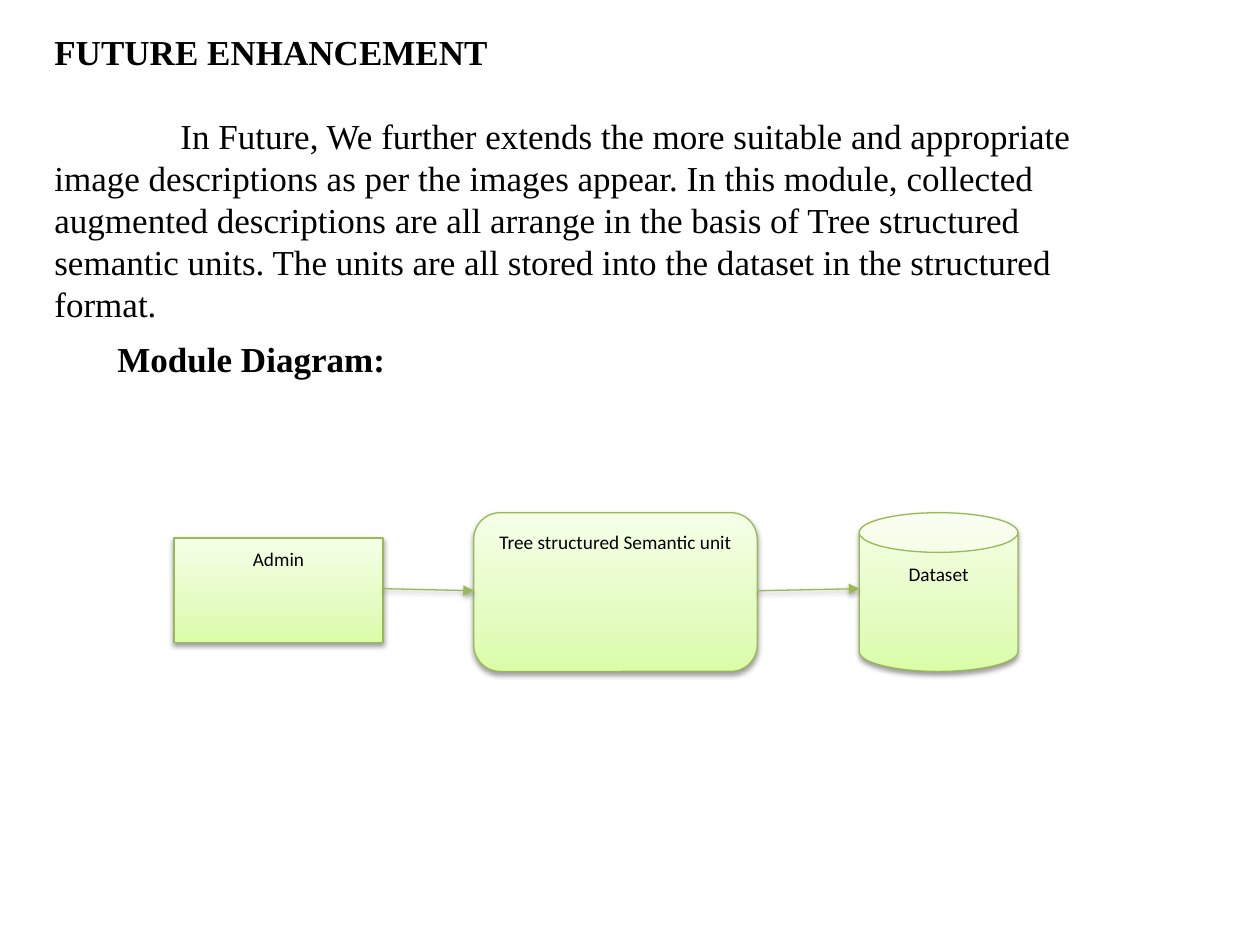
from dataclasses import dataclass

from lxml.etree import SubElement
from pptx import Presentation
from pptx.dml.color import RGBColor
from pptx.enum.shapes import MSO_CONNECTOR, MSO_SHAPE
from pptx.enum.text import MSO_ANCHOR, PP_ALIGN
from pptx.oxml.ns import qn
from pptx.shapes.group import GroupShape
from pptx.slide import Slide
from pptx.util import Pt


@dataclass(frozen=True)
class Theme:
    ink: str = "000000"
    outline: str = "98B955"
    gradient: tuple = ((0, "DAFDA7"), (35, "E4FCC2"), (100, "F5FFE7"))
    body_font: str = "Times New Roman"
    label_font: str = "Calibri"
    body_size: float = 20
    label_size: float = 11
    outline_width: float = 0.75


@dataclass(frozen=True)
class Passage:
    text: str
    bold: bool = False
    indent: float = 0
    space_after: float = 0


@dataclass(frozen=True)
class Node:
    label: str
    kind: MSO_SHAPE
    left: float
    top: float
    width: float
    height: float

    @property
    def right(self) -> float:
        return self.left + self.width


THEME = Theme()

# Wording
INTRODUCTION = [
    Passage("FUTURE ENHANCEMENT", bold=True, space_after=24),
    Passage(
        "In Future, We further extends the more suitable and appropriate "
        "image descriptions as per the images appear. In this module, collected "
        "augmented descriptions are all arrange in the basis of Tree structured "
        "semantic units. The units are all stored into the dataset in the "
        "structured format.",
        indent=72,
    ),
]
DIAGRAM_TITLE = [Passage("Module Diagram:", bold=True, indent=36)]

# Diagram, left to right
ADMIN = Node("Admin", MSO_SHAPE.RECTANGLE, 99.4, 307.4, 119.5, 59.8)
SEMANTIC_UNIT = Node("Tree structured Semantic unit", MSO_SHAPE.ROUNDED_RECTANGLE,
                     270.7, 293, 162, 90.7)
DATASET = Node("Dataset", MSO_SHAPE.CAN, 491, 293, 90.7, 90.7)
OUTER_ARROW_Y, INNER_ARROW_Y = 336.4, 337.6


def apply_format(target, values: dict) -> None:
    for name, value in values.items():
        setattr(target, name, value)


def format_font(font, face: str, size: float, bold: bool = False) -> None:
    apply_format(font, {"name": face, "size": Pt(size), "bold": bold})
    font.color.rgb = RGBColor.from_string(THEME.ink)


def draw_passages(slide: Slide, passages: list[Passage], left: float, top: float,
                  width: float, height: float, anchor: MSO_ANCHOR) -> None:
    frame = slide.shapes.add_textbox(Pt(left), Pt(top), Pt(width), Pt(height)).text_frame
    apply_format(frame, {"word_wrap": True, "vertical_anchor": anchor})
    for index, passage in enumerate(passages):
        paragraph = frame.add_paragraph() if index else frame.paragraphs[0]
        paragraph.space_after = Pt(passage.space_after)
        paragraph._p.get_or_add_pPr().set("indent", str(Pt(passage.indent)))
        run = paragraph.add_run()
        run.text = passage.text
        format_font(run.font, THEME.body_font, THEME.body_size, passage.bold)


def add_color(parent, color: str):
    return SubElement(parent, qn("a:srgbClr"), val=color)


def format_outline(line) -> None:
    line.color.rgb = RGBColor.from_string(THEME.outline)
    line.width = Pt(THEME.outline_width)


def add_shadow(properties) -> None:
    effects = properties.find(qn("a:effectLst"))
    if effects is None:
        effects = SubElement(properties, qn("a:effectLst"))
    shadow = SubElement(effects, qn("a:outerShdw"), blurRad=str(Pt(3.1)),
                        dist=str(Pt(1.6)), dir="5400000", rotWithShape="0")
    SubElement(add_color(shadow, "000000"), qn("a:alpha"), val="38000")


def draw_node(diagram: GroupShape, node: Node) -> None:
    shape = diagram.shapes.add_shape(node.kind, Pt(node.left), Pt(node.top),
                                     Pt(node.width), Pt(node.height))
    # Three-stop gradient, lightest at the top
    shape.fill.gradient()
    shape.fill.gradient_angle = 90
    properties = shape._element.spPr
    stops = properties.find(qn("a:gradFill")).find(qn("a:gsLst"))
    stops.clear()
    for position, color in THEME.gradient:
        add_color(SubElement(stops, qn("a:gs"), pos=str(position * 1000)), color)

    format_outline(shape.line)
    shape.shadow.inherit = False
    add_shadow(properties)

    # Label
    frame = shape.text_frame
    apply_format(frame, {"word_wrap": True, "vertical_anchor": MSO_ANCHOR.TOP})
    paragraph = frame.paragraphs[0]
    apply_format(paragraph, {"alignment": PP_ALIGN.CENTER, "line_spacing": 1.15,
                             "space_after": Pt(10)})
    run = paragraph.add_run()
    run.text = node.label
    format_font(run.font, THEME.label_font, THEME.label_size)


def draw_arrow(diagram: GroupShape, source: Node, target: Node,
               start_y: float, end_y: float) -> None:
    arrow = diagram.shapes.add_connector(MSO_CONNECTOR.STRAIGHT, Pt(source.right), Pt(start_y),
                                         Pt(target.left), Pt(end_y))
    format_outline(arrow.line)
    properties = arrow._element.spPr
    SubElement(properties.find(qn("a:ln")), qn("a:tailEnd"), type="triangle")
    add_shadow(properties)


def main() -> None:
    presentation = Presentation()
    apply_format(presentation, {"slide_width": Pt(720), "slide_height": Pt(540)})
    slide = presentation.slides.add_slide(presentation.slide_layouts[6])

    # Text
    draw_passages(slide, INTRODUCTION, 24, 13, 612, 177, MSO_ANCHOR.MIDDLE)
    draw_passages(slide, DIAGRAM_TITLE, 24, 189.6, 281, 53, MSO_ANCHOR.TOP)

    # Module diagram
    diagram = slide.shapes.add_group_shape()
    for node in (SEMANTIC_UNIT, ADMIN, DATASET):
        draw_node(diagram, node)
    draw_arrow(diagram, ADMIN, SEMANTIC_UNIT, OUTER_ARROW_Y, INNER_ARROW_Y)
    draw_arrow(diagram, SEMANTIC_UNIT, DATASET, INNER_ARROW_Y, OUTER_ARROW_Y)

    presentation.save("out.pptx")


if __name__ == "__main__":
    main()
